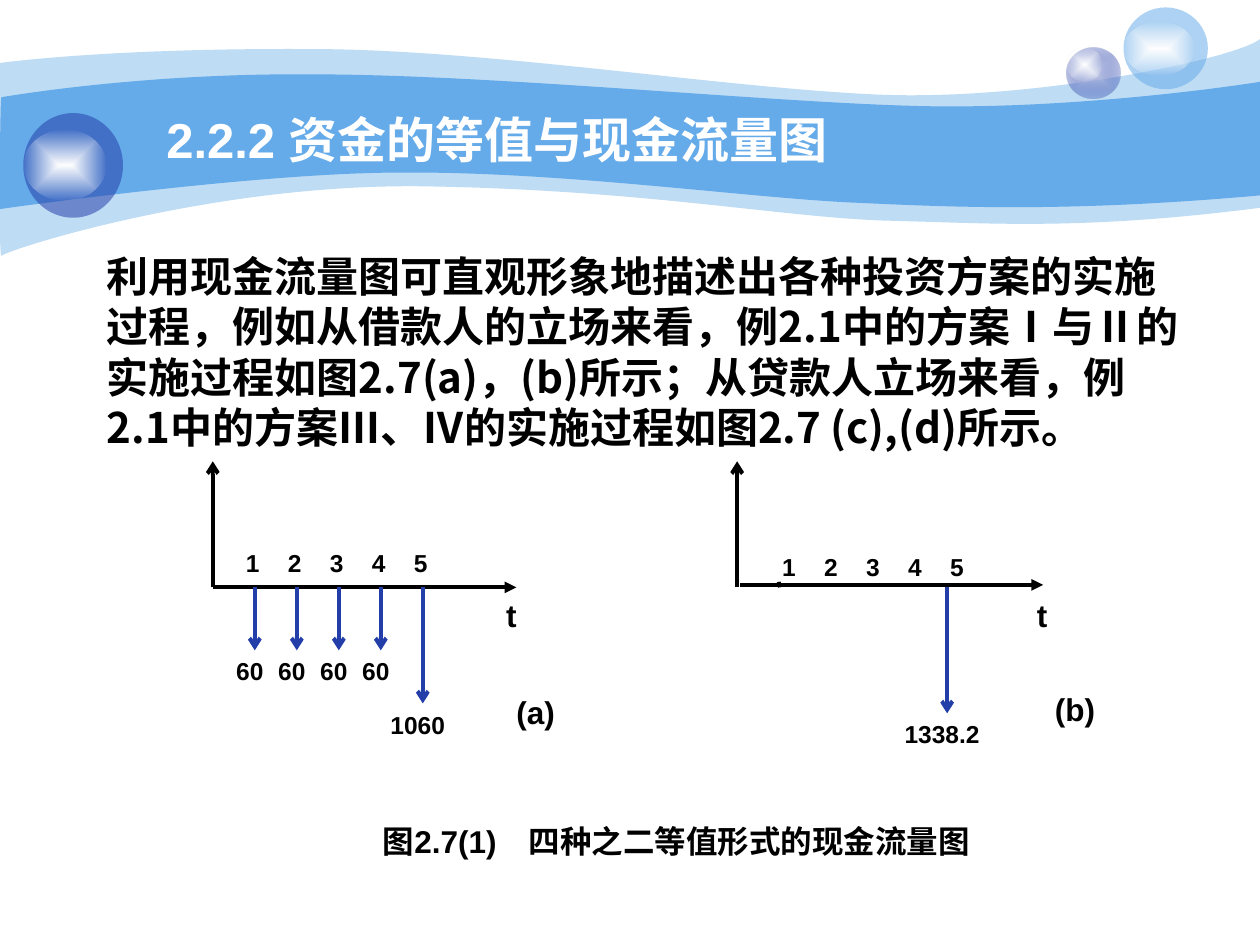
from lxml.etree import SubElement as Sub
from pptx import Presentation
from pptx.dml.color import RGBColor
from pptx.enum.shapes import MSO_CONNECTOR as Link, MSO_SHAPE as Form
from pptx.enum.text import MSO_ANCHOR as Anchor, MSO_AUTO_SIZE as Fit, PP_ALIGN as Align
from pptx.oxml.ns import qn
from pptx.util import Cm, Pt

TITLE = "2.2.2 资金的等值与现金流量图"
BODY = ("利用现金流量图可直观形象地描述出各种投资方案的实施过程，例如从借款人的立场来看，"
        "例2.1中的方案Ⅰ与Ⅱ的实施过程如图2.7(a)，(b)所示；从贷款人立场来看，"
        "例2.1中的方案Ⅲ、Ⅳ的实施过程如图2.7 (c),(d)所示。")
CAPTION = "图2.7(1)\t四种之二等值形式的现金流量图"
BLACK, WHITE, SKY, NAVY = "000000", "FFFFFF", "65AAE9", "233DA9"
STEP = 2.54 / 3  # one period on the time axis, cm
BASE = 11.84  # where the arrows start, cm

# Flow charts, in cm; flows: period, arrow length, amount
CHARTS = [
    dict(x=4.29, axis=(4.29, 10.41, 11.84), shift=-0.04, top=10.92,
         marks=[("t", 10.31, 11.89), ("(a)", 10.8, 13.84)],
         flows=[(n, 1.27, "60") for n in range(1, 5)] + [(5, 2.34, "1060")]),
    dict(x=14.86, axis=(14.91, 21.03, 11.79), shift=0.2, top=11.0,
         marks=[("t", 21.01, 11.89), ("(b)", 21.67, 13.79)],
         flows=[(5, 2.54, "1338.2")]),
]
TICKS = [((15.72, 11.84), (15.7, 11.73)), ((16.76, 11.91), (16.76, 11.91))]

# Bands: opacity, top edge left to right, bottom edge right to left (Bezier points)
BANDS = [
    (41,
     [(0, 1.27), (0.61, 1.19), (2.72, 0.97), (6.27, 0.99), (9.8, 0.99), (14.61, 1.78),
      (17.75, 1.91), (20.88, 2.03), (24.89, 1.19), (25.4, 0.79)],
     [(25.4, 4.19), (21.79, 4.65), (19.99, 4.5), (17.91, 4.45), (15.8, 4.39),
      (13.08, 3.84), (8.71, 3.76), (4.37, 3.66), (0.1, 5.05), (0.03, 5.16),
      (-0.03, 5.28), (0, 1.91), (0, 1.27)]),
    (100,
     [(0.03, 1.96), (0.05, 1.96), (2.79, 1.47), (6.3, 1.5), (9.8, 1.5), (15.11, 2.03),
      (18.24, 2.13), (21.36, 2.24), (24.79, 1.75), (25.4, 1.65)],
     [(25.4, 3.94), (21.67, 4.27), (19.43, 4.19), (17.32, 4.09), (15.21, 4.01),
      (11.35, 3.45), (8.05, 3.48), (5.16, 3.48), (-0.05, 4.22), (-0.03, 4.22),
      (0, 4.22), (0, 1.96), (0.03, 1.96)]),
]

# Balls: box in cm, then colour stops (hex, opacity) from the centre out
GLOW = [(WHITE, 100), (WHITE, 0)]
BALLS = [
    ((21.51, 0.96, 1.07, 1.02), [("C7CEE9", 100), (NAVY, 31)]),
    ((21.51, 0.96, 0.71, 0.69), GLOW),
    ((22.65, 0.15, 1.7, 1.65), [(SKY, 53)]),
    ((22.65, 0.43, 1.42, 1.09), GLOW),
    ((0.47, 2.28, 2.01, 2.11), [(NAVY, 53)]),
    ((0.47, 2.62, 1.68, 1.42), GLOW),
]


def rgb(code):
    return RGBColor.from_string(code)


def paint(shape, stops):
    """Fill with one colour or a centred gradient, each stop with its opacity."""
    shape.shadow.inherit = False
    shape.line.fill.background()
    shape.fill.solid()
    shape.fill.fore_color.rgb = rgb(stops[0][0])
    solid = shape.element.spPr.find(qn("a:solidFill"))
    if len(stops) == 1:
        if stops[0][1] < 100:
            Sub(solid[0], qn("a:alpha"), val=str(stops[0][1] * 1000))
        return
    grad = solid.makeelement(qn("a:gradFill"), {"rotWithShape": "1"})
    solid.getparent().replace(solid, grad)
    row = Sub(grad, qn("a:gsLst"))
    for pos, (code, alpha) in zip((0, 100000), stops):
        stop = Sub(row, qn("a:gs"), pos=str(pos))
        Sub(Sub(stop, qn("a:srgbClr"), val=code), qn("a:alpha"), val=str(alpha * 1000))
    Sub(Sub(grad, qn("a:path"), path="rect"), qn("a:fillToRect"),
        l="50000", t="50000", r="50000", b="50000")


def bend(legs):
    """Turn each three straight legs into one cubic Bezier curve."""
    for i in range(0, len(legs), 3):
        first = legs[i]
        curve = first.makeelement(qn("a:cubicBezTo"), {})
        first.addprevious(curve)
        for leg in legs[i:i + 3]:
            curve.append(leg[0])
            leg.getparent().remove(leg)


def band(alpha, top, base):
    dots = [(Cm(x), Cm(y)) for x, y in top + base]
    pen = shapes.build_freeform(*dots[0])
    pen.add_line_segments(dots[1:], close=True)
    wave = pen.convert_to_shape()
    legs = list(wave.element.iter(qn("a:lnTo")))
    cut = len(top) - 1
    bend(legs[:cut])
    bend(legs[cut + 1:len(dots) - 1])
    paint(wave, [(SKY, alpha)])


def line(start, end, code=BLACK, head=None):
    link = shapes.add_connector(Link.STRAIGHT, *(Cm(v) for v in start + end))
    link.line.color.rgb = rgb(code)
    link.line.width = Pt(2.25)
    props = link.element.spPr
    if head:
        Sub(props.find(qn("a:ln")), qn("a:tailEnd"), type=head)
    Sub(props, qn("a:effectLst"))


def style(para, size, code=BLACK, font="Arial", align=Align.LEFT):
    para.alignment = align
    para.space_before = Pt(0)
    para.font.name, para.font.size, para.font.bold = font, Pt(size), True
    para.font.color.rgb = rgb(code)


def label(text, mid, top, size=14):
    """One-line text centred on mid."""
    wide = 0.58 + 0.27 * len(text)
    box = shapes.add_textbox(Cm(mid - wide / 2), Cm(top), Cm(wide),
                             Cm(0.86 if size == 14 else 1.02))
    box.text_frame.word_wrap = False
    box.text_frame.text = text
    style(box.text_frame.paragraphs[0], size, align=Align.CENTER)


def place(holder, text, area, anchor):
    """Move a placeholder above the bands, fill it and return its paragraph."""
    holder.left, holder.top, holder.width, holder.height = (Cm(v) for v in area)
    holder.element.getparent().append(holder.element)
    frame = holder.text_frame
    frame.text, frame.word_wrap = text, True
    frame.auto_size, frame.vertical_anchor = Fit.NONE, anchor
    return frame.paragraphs[0]


def chart(x, axis, shift, top, marks, flows):
    start, end, y = axis
    line((start, y), (end, y), head="triangle")
    line((x, BASE), (x, 9.3), head="arrow")
    for n in range(1, 6):
        label(str(n), x + n * STEP + shift, top)
    for n, drop, cash in flows:
        spot = x + n * STEP
        line((spot, BASE), (spot, BASE + drop), NAVY, "arrow")
        label(cash, spot - 0.1, BASE + drop)
    for mark in marks:
        label(*mark, 18)


deck = Presentation()
deck.slide_width, deck.slide_height = Cm(25.4), Cm(19.05)
slide = deck.slides.add_slide(deck.slide_layouts[1])
shapes = slide.shapes

for item in BANDS:
    band(*item)
for area, stops in BALLS:
    paint(shapes.add_shape(Form.OVAL, *(Cm(v) for v in area)), stops)

style(place(shapes.title, TITLE, (3.1, 1.93, 17.37, 1.75), Anchor.MIDDLE), 28, WHITE)
para = place(slide.placeholders[1], BODY, (1.9, 4.92, 22.23, 4.32), Anchor.TOP)
props = para._p.get_or_add_pPr()
props.set("marL", "0")
props.set("indent", "0")
Sub(props, qn("a:buNone"))
style(para, 24, font="Noto Sans CJK SC")

for item in CHARTS:
    chart(**item)
for start, end in TICKS:
    line(start, end)

box = shapes.add_textbox(Cm(7.47), Cm(16.44), Cm(13.64), Cm(1.78))
box.text_frame.word_wrap = True
box.text_frame.text = CAPTION
para = box.text_frame.paragraphs[0]
tabs = Sub(para._p.get_or_add_pPr(), qn("a:tabLst"))
Sub(tabs, qn("a:tab"), pos=str(Cm(2.94)), algn="l")
style(para, 18)

deck.save("out.pptx")
